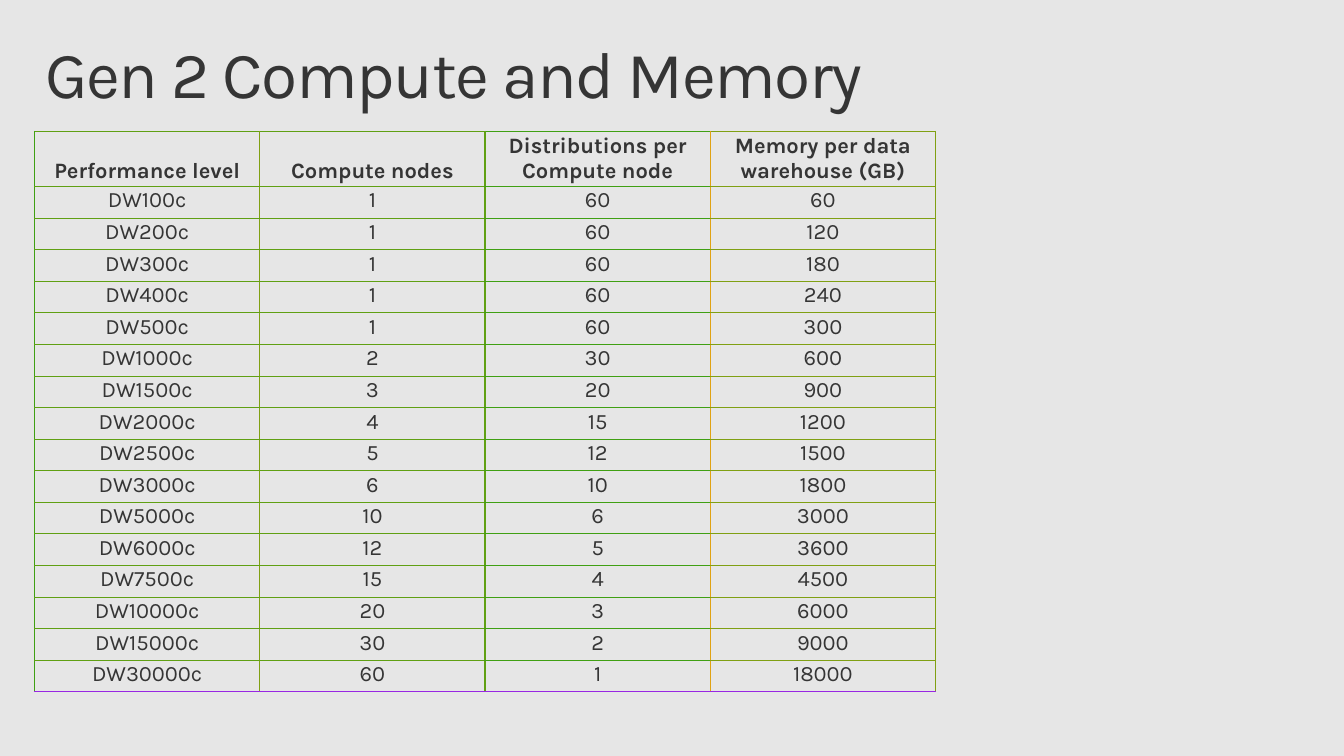
from lxml import etree
from pptx import Presentation
from pptx.dml.color import RGBColor
from pptx.enum.text import MSO_ANCHOR, MSO_AUTO_SIZE, PP_ALIGN
from pptx.oxml.ns import qn
from pptx.util import Pt

CENTER, LEFT = PP_ALIGN.CENTER, PP_ALIGN.LEFT
TOP, BOTTOM = MSO_ANCHOR.TOP, MSO_ANCHOR.BOTTOM
NO_AUTOFIT = MSO_AUTO_SIZE.NONE

# Content
TITLE = "Gen 2 Compute and Memory"
HEADER = ("Performance level", "Compute nodes",
          "Distributions per Compute node", "Memory per data warehouse (GB)")
SERVICE_LEVELS = [  # level, compute nodes, distributions per node, memory
    ("DW100c", 1, 60, 60),
    ("DW200c", 1, 60, 120),
    ("DW300c", 1, 60, 180),
    ("DW400c", 1, 60, 240),
    ("DW500c", 1, 60, 300),
    ("DW1000c", 2, 30, 600),
    ("DW1500c", 3, 20, 900),
    ("DW2000c", 4, 15, 1200),
    ("DW2500c", 5, 12, 1500),
    ("DW3000c", 6, 10, 1800),
    ("DW5000c", 10, 6, 3000),
    ("DW6000c", 12, 5, 3600),
    ("DW7500c", 15, 4, 4500),
    ("DW10000c", 20, 3, 6000),
    ("DW15000c", 30, 2, 9000),
    ("DW30000c", 60, 1, 18000),
]
ROWS = [HEADER] + SERVICE_LEVELS

# Colours
INK, PAPER = "353535", "E6E6E6"
GREEN, LEAF, OLIVE, AMBER, PURPLE = "40A013", "60A013", "80A013", "E0A213", "9827E3"
COLUMN_EDGES = (GREEN, OLIVE, LEAF, AMBER, OLIVE)  # vertical rules, left to right
ROW_EDGES = (LEAF, LEAF, GREEN, OLIVE)             # horizontal rules, one per column
BOTTOM_EDGE = PURPLE                               # closes the table

# Type and layout, in points
FONT, TITLE_SIZE, TABLE_SIZE = "Karla", 48, 16
TITLE_BOX = (21.6, 23, 936, 72)
TABLE_LEFT, TABLE_TOP = 25.2, 95.8
COLUMN_WIDTH, HEADER_HEIGHT, ROW_HEIGHT = 164.1, 39.8, 23.04
OUTER_RULE, INNER_RULE = 1, 0.38


def color(hex_string):
    return RGBColor.from_string(hex_string)


def style_text(paragraph, size, bold, alignment):
    paragraph.alignment = alignment
    for run in paragraph.runs:
        run.font.name = FONT
        run.font.size = Pt(size)
        run.font.bold = bold
        run.font.color.rgb = color(INK)


def set_margins(target, horizontal, vertical):
    target.margin_left = target.margin_right = Pt(horizontal)
    target.margin_top = target.margin_bottom = Pt(vertical)


def horizontal_rule(edge, column_index):
    """Colour and width of the rule above row number `edge`."""
    is_last = edge == len(ROWS)
    width = OUTER_RULE if edge == 0 or is_last else INNER_RULE
    return (BOTTOM_EDGE if is_last else ROW_EDGES[column_index]), width


def add_borders(cell, row_index, column_index):
    """Rule all four sides; border elements go ahead of the cell's fill."""
    borders = {
        "a:lnL": (COLUMN_EDGES[column_index], OUTER_RULE),
        "a:lnR": (COLUMN_EDGES[column_index + 1], OUTER_RULE),
        "a:lnT": horizontal_rule(row_index, column_index),
        "a:lnB": horizontal_rule(row_index + 1, column_index),
    }
    properties = cell._tc.get_or_add_tcPr()
    for position, (tag, (hex_string, width)) in enumerate(borders.items()):
        line = etree.Element(qn(tag), w=str(int(Pt(width))))
        fill = etree.SubElement(line, qn("a:solidFill"))
        etree.SubElement(fill, qn("a:srgbClr"), val=hex_string)
        properties.insert(position, line)


def add_title(slide):
    title = slide.shapes.title
    title.left, title.top, title.width, title.height = (Pt(length) for length in TITLE_BOX)
    frame = title.text_frame
    frame.text = TITLE
    frame.word_wrap = True
    frame.auto_size = NO_AUTOFIT
    frame.vertical_anchor = TOP
    set_margins(frame, 11.5, 7.2)
    heading = frame.paragraphs[0]
    heading.line_spacing = 0.9
    style_text(heading, TITLE_SIZE, False, LEFT)
    heading.runs[0].font._element.set("spc", "-100")  # one point tighter


def add_service_table(slide):
    row_heights = [HEADER_HEIGHT] + [ROW_HEIGHT] * len(SERVICE_LEVELS)
    table = slide.shapes.add_table(
        len(ROWS), len(HEADER), Pt(TABLE_LEFT), Pt(TABLE_TOP),
        Pt(COLUMN_WIDTH * len(HEADER)), Pt(sum(row_heights))).table
    table.first_row = table.horz_banding = False
    for column in table.columns:
        column.width = Pt(COLUMN_WIDTH)

    for row_index, values in enumerate(ROWS):
        table.rows[row_index].height = Pt(row_heights[row_index])
        is_header = row_index == 0
        for column_index, value in enumerate(values):
            cell = table.cell(row_index, column_index)
            cell.text_frame.text = str(value)
            cell.vertical_anchor = BOTTOM if is_header else TOP
            set_margins(cell, 2.16, 1.2)
            style_text(cell.text_frame.paragraphs[0], TABLE_SIZE, is_header, CENTER)
            cell.fill.background()
            add_borders(cell, row_index, column_index)


def main():
    presentation = Presentation()
    presentation.slide_width, presentation.slide_height = Pt(979.2), Pt(550.8)
    slide = presentation.slides.add_slide(presentation.slide_layouts[5])
    slide.background.fill.solid()
    slide.background.fill.fore_color.rgb = color(PAPER)
    add_title(slide)
    add_service_table(slide)
    presentation.save("out.pptx")


if __name__ == "__main__":
    main()
